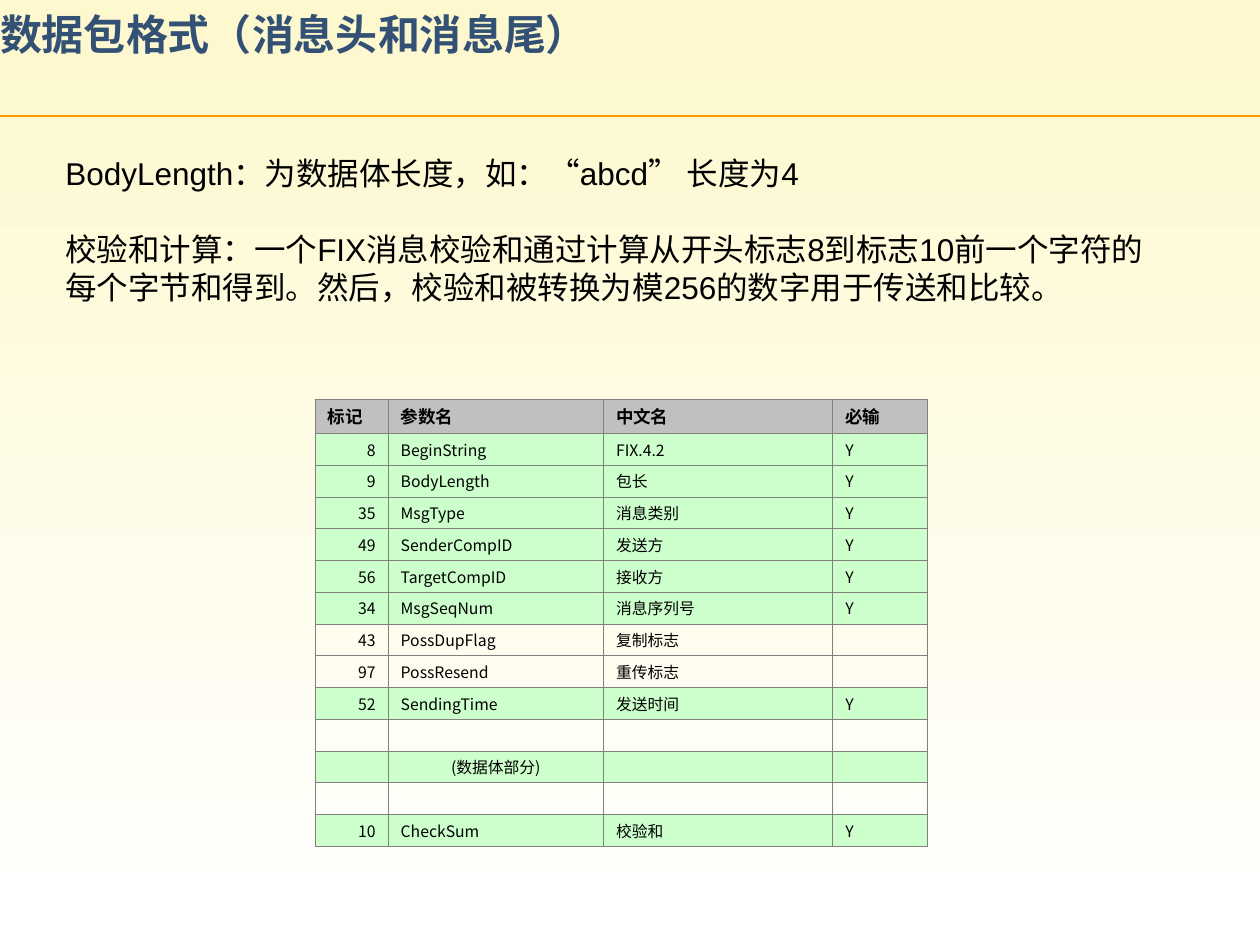
from dataclasses import dataclass

from lxml import etree
from pptx import Presentation
from pptx.dml.color import RGBColor
from pptx.enum.shapes import MSO_CONNECTOR
from pptx.enum.text import MSO_ANCHOR, MSO_AUTO_SIZE, PP_ALIGN
from pptx.oxml.ns import qn
from pptx.util import Inches, Pt

STRAIGHT = MSO_CONNECTOR.STRAIGHT
TOP, MIDDLE = MSO_ANCHOR.TOP, MSO_ANCHOR.MIDDLE
NO_GROW, GROW = MSO_AUTO_SIZE.NONE, MSO_AUTO_SIZE.SHAPE_TO_FIT_TEXT
LEFT, RIGHT, CENTER, JUSTIFY = PP_ALIGN.LEFT, PP_ALIGN.RIGHT, PP_ALIGN.CENTER, PP_ALIGN.JUSTIFY

COLORS = {
    "cream": "FDF8CD",
    "white": "FFFFFF",
    "orange": "FF9900",
    "title": "335175",
    "text": "000000",
    "header": "C0C0C0",
    "required": "CCFFCC",
    "border": "808080",
}
CJK_FONT = "Noto Sans CJK SC"


@dataclass
class TextStyle:
    size: float
    color: str = "text"
    font: str = CJK_FONT
    bold: bool = False


@dataclass
class TextBlock:
    left: float
    top: float
    width: float
    height: float
    side_margin: float
    line_spacing: float
    auto_size: MSO_AUTO_SIZE
    style: TextStyle
    paragraphs: list[str]


@dataclass
class Field:
    tag: str = ""
    name: str = ""
    meaning: str = ""
    required: str = ""
    filled: bool = True
    name_align: PP_ALIGN = LEFT


TITLE = TextBlock(0, 0, 9.58, 0.83, 0, 30, NO_GROW,
                  TextStyle(24, "title", bold=True), ["数据包格式（消息头和消息尾）"])
BODY = TextBlock(0.42, 1.17, 9, 1.6, 0.1, 21.7, GROW, TextStyle(18, font="Arial"), [
    "BodyLength：为数据体长度，如：“abcd” 长度为4",
    "校验和计算：一个FIX消息校验和通过计算从开头标志8到标志10前一个字符的每个字节和得到。"
    "然后，校验和被转换为模256的数字用于传送和比较。",
])
HEADINGS = ["标记", "参数名", "中文名", "必输"]
FIELDS = [
    Field("8", "BeginString", "FIX.4.2", "Y"),
    Field("9", "BodyLength", "包长", "Y"),
    Field("35", "MsgType", "消息类别", "Y"),
    Field("49", "SenderCompID", "发送方", "Y"),
    Field("56", "TargetCompID", "接收方", "Y"),
    Field("34", "MsgSeqNum", "消息序列号", "Y"),
    Field("43", "PossDupFlag", "复制标志", filled=False),
    Field("97", "PossResend", "重传标志", filled=False),
    Field("52", "SendingTime", "发送时间", "Y"),
    Field(filled=False),
    Field(name="(数据体部分)", name_align=CENTER),
    Field(filled=False),
    Field("10", "CheckSum", "校验和", "Y"),
]
COLUMN_WIDTHS = [0.58, 1.71, 1.82, 0.75]
TABLE_HEIGHT = 3.55
HEADER_HEIGHT = 0.27
HEADER_STYLE = TextStyle(10, bold=True)
FIELD_STYLE = TextStyle(9)


def rgb(name: str) -> RGBColor:
    return RGBColor.from_string(COLORS[name])


def style_paragraph(para, style: TextStyle) -> None:
    for span in para.runs:
        span.font.size = Pt(style.size)
        span.font.bold = style.bold
        span.font.name = style.font
        span.font.color.rgb = rgb(style.color)
        east_asian = etree.SubElement(span.font._element, qn("a:ea"))
        east_asian.set("typeface", CJK_FONT)
    if not para.runs:
        ending = etree.SubElement(para._p, qn("a:endParaRPr"))
        ending.set("sz", str(style.size * 100))


def paint_background(slide) -> None:
    fill = slide.background.fill
    fill.gradient()
    fill.gradient_angle = 270
    for stop, position, color in zip(fill.gradient_stops, (0, 1), ("cream", "white")):
        stop.position = position
        stop.color.rgb = rgb(color)


def add_rule(slide) -> None:
    rule = slide.shapes.add_connector(STRAIGHT, 0, Inches(0.92), Inches(10), Inches(0.92))
    rule.line.color.rgb = rgb("orange")
    rule.line.width = Pt(1.5)
    etree.SubElement(rule._element.spPr, qn("a:effectLst"))


def add_text(slide, block: TextBlock) -> None:
    box = slide.shapes.add_textbox(Inches(block.left), Inches(block.top),
                                   Inches(block.width), Inches(block.height))
    frame = box.text_frame
    frame.word_wrap = True
    frame.auto_size = block.auto_size
    frame.margin_left = frame.margin_right = Inches(block.side_margin)
    frame.text = "\n".join(block.paragraphs)
    for index, para in enumerate(frame.paragraphs):
        para.line_spacing = Pt(block.line_spacing)
        para.space_before = Pt(block.line_spacing if index else 0)
        style_paragraph(para, block.style)


def add_borders(cell) -> None:
    properties = cell._tc.get_or_add_tcPr()
    for side in ("lnL", "lnR", "lnT", "lnB"):
        line = etree.SubElement(properties, qn(f"a:{side}"), w=str(Pt(0.45)))
        solid = etree.SubElement(line, qn("a:solidFill"))
        etree.SubElement(solid, qn("a:srgbClr"), val=COLORS["border"])


def fill_cell(cell, text: str, style: TextStyle, align: PP_ALIGN,
              anchor: MSO_ANCHOR, fill: str | None) -> None:
    add_borders(cell)
    if fill:
        cell.fill.solid()
        cell.fill.fore_color.rgb = rgb(fill)
    else:
        cell.fill.background()
    cell.margin_top = cell.margin_bottom = Inches(0.03)
    cell.vertical_anchor = anchor
    cell.text_frame.text = text
    para = cell.text_frame.paragraphs[0]
    para.alignment = align
    style_paragraph(para, style)


def add_field_table(slide) -> None:
    table = slide.shapes.add_table(
        len(FIELDS) + 1, len(HEADINGS), Inches(2.5), Inches(3.17),
        Inches(sum(COLUMN_WIDTHS)), Inches(TABLE_HEIGHT)).table
    table.first_row = table.horz_banding = False
    for column, width in zip(table.columns, COLUMN_WIDTHS):
        column.width = Inches(width)
    field_height = (TABLE_HEIGHT - HEADER_HEIGHT) / len(FIELDS)
    for index, row in enumerate(table.rows):
        row.height = Inches(field_height if index else HEADER_HEIGHT)
    for column, heading in enumerate(HEADINGS):
        fill_cell(table.cell(0, column), heading, HEADER_STYLE, JUSTIFY, TOP, "header")
    for row, field in enumerate(FIELDS, 1):
        texts = (field.tag, field.name, field.meaning, field.required)
        aligns = (RIGHT, field.name_align, JUSTIFY, JUSTIFY)
        fill = "required" if field.filled else None
        for column, (text, align) in enumerate(zip(texts, aligns)):
            fill_cell(table.cell(row, column), text, FIELD_STYLE, align, MIDDLE, fill)


def main() -> None:
    deck = Presentation()
    deck.slide_width, deck.slide_height = Inches(10), Inches(7.5)
    slide = deck.slides.add_slide(deck.slide_layouts[6])
    paint_background(slide)
    add_rule(slide)
    add_text(slide, BODY)
    add_text(slide, TITLE)
    add_field_table(slide)
    deck.save("out.pptx")


if __name__ == "__main__":
    main()
